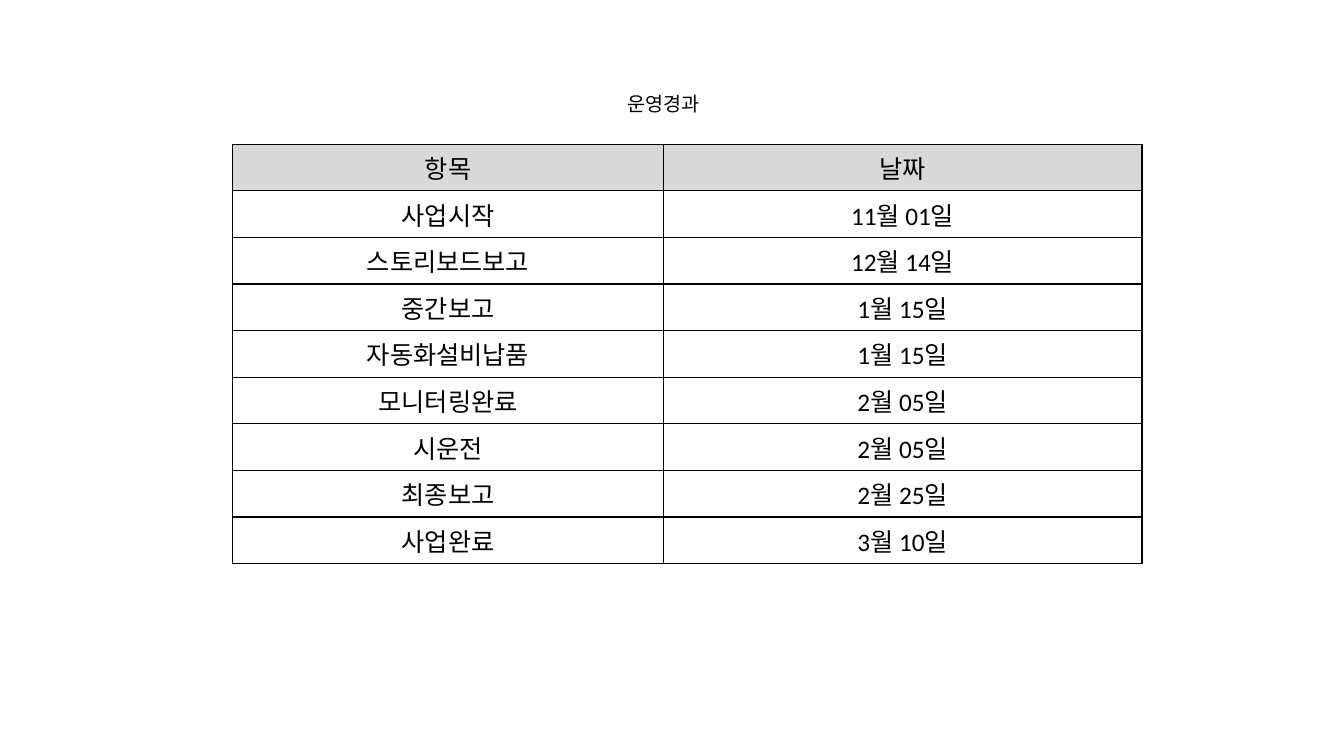
from dataclasses import dataclass
from typing import Any, NamedTuple

from lxml import etree
from pptx import Presentation
from pptx.dml.color import RGBColor
from pptx.enum.text import MSO_ANCHOR, MSO_AUTO_SIZE, PP_ALIGN
from pptx.oxml.ns import qn
from pptx.util import Pt

MIDDLE = MSO_ANCHOR.MIDDLE
CENTER = PP_ALIGN.CENTER
NO_AUTOFIT = MSO_AUTO_SIZE.NONE
TITLE_ONLY = 5


@dataclass(frozen=True)
class Theme:
    ink: str = "000000"
    header: str = "D9D9D9"
    title_font: str = "Noto Sans CJK KR"
    table_font: str = "Calibri"
    korean_font: str = "Noto Sans CJK KR"
    title_size: float = 14
    table_size: float = 18
    border_width: float = 1


class Milestone(NamedTuple):
    item: str
    date: str


class Box(NamedTuple):
    left: float
    top: float
    width: float
    height: float


THEME = Theme()
PAGE_WIDTH, PAGE_HEIGHT = 960, 540
TITLE_BOX = Box(253.5, 53.3, 441.4, 41)
TABLE_BOX = Box(166.3, 103, 649.4, 259.2)
COLUMN_WIDTHS = (307.4, 342)
HEADER = Milestone("항목", "날짜")
MILESTONES = (
    Milestone("사업시작", "11월 01일"),
    Milestone("스토리보드보고", "12월 14일"),
    Milestone("중간보고", "1월 15일"),
    Milestone("자동화설비납품", "1월 15일"),
    Milestone("모니터링완료", "2월 05일"),
    Milestone("시운전", "2월 05일"),
    Milestone("최종보고", "2월 25일"),
    Milestone("사업완료", "3월 10일"),
)


def apply_format(target: Any, values: dict[str, Any]) -> None:
    for name, value in values.items():
        setattr(target, name, value)


def write_text(para: Any, text: str, font: str, size: float) -> None:
    para.alignment = CENTER
    span = para.add_run()
    span.text = text
    apply_format(span.font, {"name": font, "size": Pt(size), "bold": False})
    span.font.color.rgb = RGBColor.from_string(THEME.ink)
    latin = span.font._element.find(qn("a:latin"))
    east_asian = etree.Element(qn("a:ea"), typeface=THEME.korean_font)
    latin.addnext(east_asian)


def add_borders(cell: Any) -> None:
    properties = cell._tc.get_or_add_tcPr()
    for side in ("lnL", "lnR", "lnT", "lnB"):
        line = etree.SubElement(
            properties, qn(f"a:{side}"), w=str(Pt(THEME.border_width))
        )
        fill = etree.SubElement(line, qn("a:solidFill"))
        etree.SubElement(fill, qn("a:srgbClr"), val=THEME.ink)


def draw_title(page: Any, text: str, box: Box) -> None:
    title = page.shapes.title
    apply_format(title, {name: Pt(value) for name, value in box._asdict().items()})
    frame = title.text_frame
    apply_format(frame, {
        "margin_left": Pt(0),
        "margin_right": Pt(0),
        "margin_top": Pt(3.6),
        "margin_bottom": Pt(3.6),
        "vertical_anchor": MIDDLE,
        "word_wrap": True,
        "auto_size": NO_AUTOFIT,
    })
    para = frame.paragraphs[0]
    apply_format(para, {"line_spacing": Pt(18), "space_before": Pt(6)})
    write_text(para, text, THEME.title_font, THEME.title_size)


def draw_cell(cell: Any, text: str, is_header: bool) -> None:
    cell.vertical_anchor = MIDDLE
    write_text(
        cell.text_frame.paragraphs[0], text, THEME.table_font, THEME.table_size
    )
    add_borders(cell)
    if is_header:
        cell.fill.solid()
        cell.fill.fore_color.rgb = RGBColor.from_string(THEME.header)
    else:
        cell.fill.background()


def draw_schedule(page: Any, entries: tuple[Milestone, ...], box: Box) -> None:
    table = page.shapes.add_table(
        len(entries), len(COLUMN_WIDTHS), *(Pt(value) for value in box)
    ).table
    apply_format(table, {"first_row": False, "horz_banding": False})
    for column, width in zip(table.columns, COLUMN_WIDTHS):
        column.width = Pt(width)
    for row, entry in zip(table.rows, entries):
        for cell, text in zip(row.cells, entry):
            draw_cell(cell, text, entry is HEADER)


def main() -> None:
    deck = Presentation()
    apply_format(deck, {
        "slide_width": Pt(PAGE_WIDTH),
        "slide_height": Pt(PAGE_HEIGHT),
    })
    page = deck.slides.add_slide(deck.slide_layouts[TITLE_ONLY])
    draw_title(page, "운영경과", TITLE_BOX)
    draw_schedule(page, (HEADER, *MILESTONES), TABLE_BOX)
    deck.save("out.pptx")


if __name__ == "__main__":
    main()
